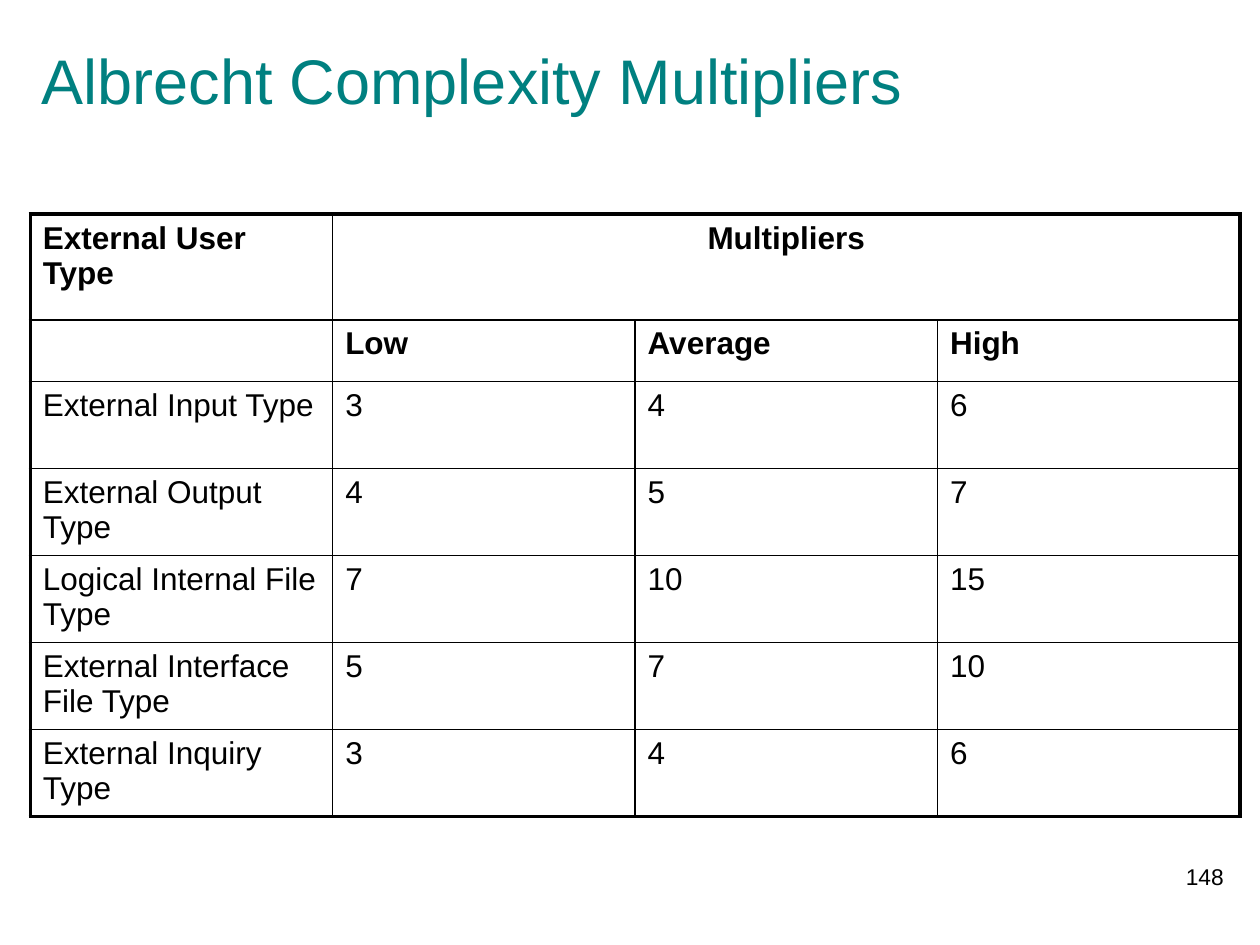
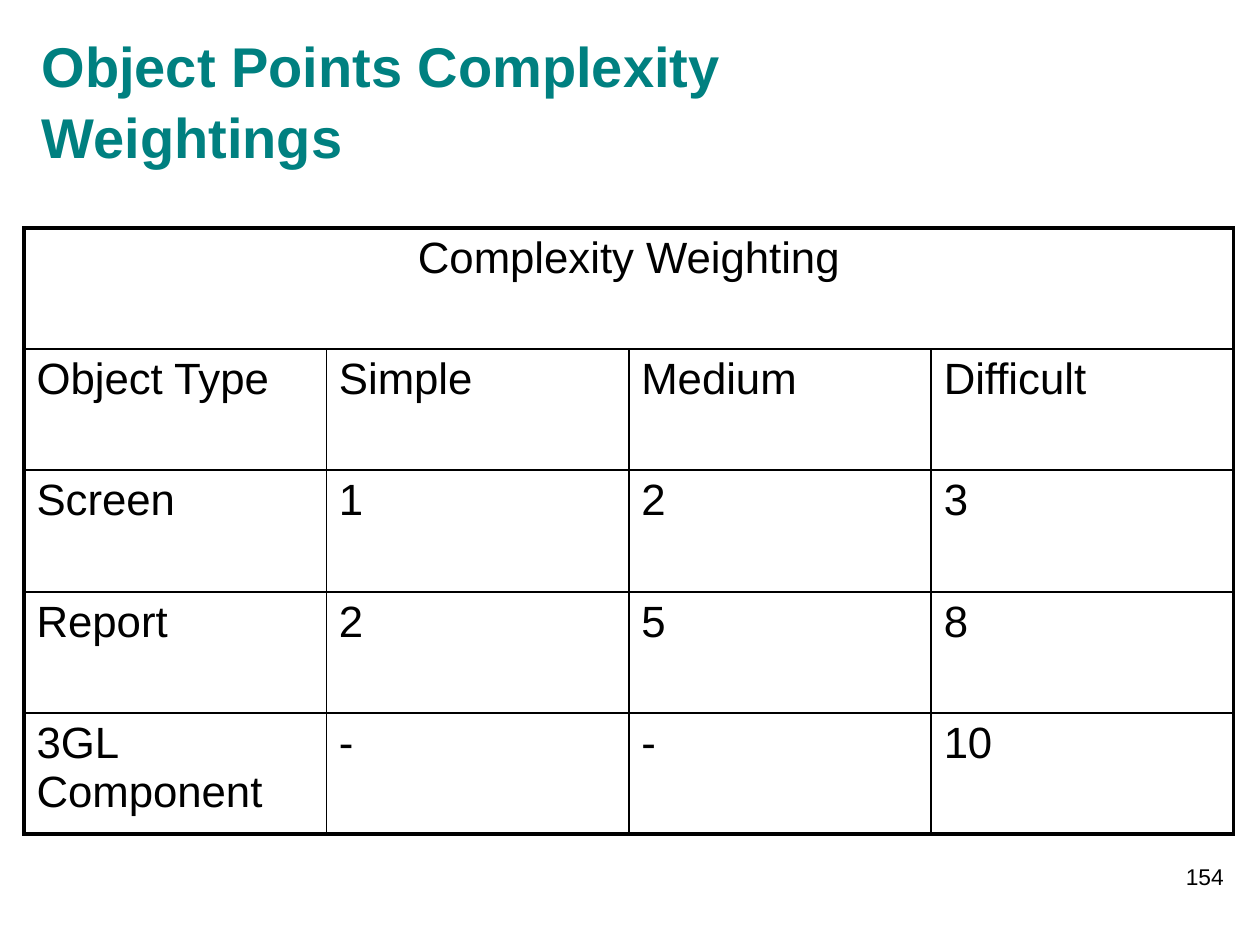
import pptx
import pptx.util
import pptx.dml.color
import pptx.enum.text
import pptx.oxml.ns
import lxml.etree

Inches = pptx.util.Inches
Pt = pptx.util.Pt
RGBColor = pptx.dml.color.RGBColor
PP_ALIGN = pptx.enum.text.PP_ALIGN
qn = pptx.oxml.ns.qn

TEAL = RGBColor(0x00, 0x80, 0x80)
BLACK = RGBColor(0x00, 0x00, 0x00)
FONT = "Arial"
OUTER, INNER = 2.25, 1
COL_WIDTH = 2.4


def set_font(p, size, color, bold=False):
    p.font.name = FONT
    p.font.size = Pt(size)
    p.font.bold = bold
    p.font.color.rgb = color


def set_borders(cell, widths):
    tcPr = cell._tc.get_or_add_tcPr()
    for side, width in widths.items():
        ln = lxml.etree.SubElement(tcPr, qn("a:ln" + side), w=str(Pt(width)))
        fill = lxml.etree.SubElement(ln, qn("a:solidFill"))
        lxml.etree.SubElement(fill, qn("a:srgbClr"), val=str(BLACK))


slides = [
    {
        "title": "Albrecht Complexity Multipliers",
        "title_top": 0.15, "title_size": 36, "title_bold": False,
        "left": 0.24, "top": 1.7, "size": 18, "bold_rows": 2,
        "heights": [0.84, 0.49] + [0.69] * 5,
        "span_start": 1,
        "rows": [
            ["External User Type", "Multipliers", "", ""],
            ["", "Low", "Average", "High"],
            ["External Input Type", "3", "4", "6"],
            ["External Output Type", "4", "5", "7"],
            ["Logical Internal File Type", "7", "10", "15"],
            ["External Interface File Type", "5", "7", "10"],
            ["External Inquiry Type", "3", "4", "6"],
        ],
        "number": "148",
    },
    {
        "title": "Object Points Complexity Weightings",
        "title_top": 0.32, "title_size": 32, "title_bold": True,
        "left": 0.19, "top": 1.81, "size": 25, "bold_rows": 0,
        "heights": [0.96, 0.96, 0.97, 0.96, 0.96],
        "span_start": 0,
        "rows": [
            ["Complexity Weighting", "", "", ""],
            ["Object Type", "Simple", "Medium", "Difficult"],
            ["Screen", "1", "2", "3"],
            ["Report", "2", "5", "8"],
            ["3GL Component", "-", "-", "10"],
        ],
        "number": "154",
    },
]

prs = pptx.Presentation()
prs.slide_width, prs.slide_height = Inches(10), Inches(7.5)

for d in slides:
    s = prs.slides.add_slide(prs.slide_layouts[5])

    sp = s.shapes.title
    sp.left, sp.top = Inches(0.23), Inches(d["title_top"])
    sp.width, sp.height = Inches(8.03), Inches(0.93)
    tf = sp.text_frame
    tf.text = d["title"]
    tf.word_wrap = True
    tf.auto_size = pptx.enum.text.MSO_AUTO_SIZE.NONE
    tf.vertical_anchor = pptx.enum.text.MSO_ANCHOR.MIDDLE
    p = tf.paragraphs[0]
    p.alignment = PP_ALIGN.LEFT
    p.line_spacing = 1.05
    set_font(p, d["title_size"], TEAL, d["title_bold"])

    rows, heights = d["rows"], d["heights"]
    n_rows, n_cols = len(rows), len(rows[0])
    table = s.shapes.add_table(
        n_rows, n_cols, Inches(d["left"]), Inches(d["top"]),
        Inches(COL_WIDTH * n_cols), Inches(sum(heights))).table
    table.first_row = table.horz_banding = False
    for col in table.columns:
        col.width = Inches(COL_WIDTH)
    for row, height in zip(table.rows, heights):
        row.height = Inches(height)
    header = table.cell(0, d["span_start"])
    header.merge(table.cell(0, n_cols - 1))

    for i, texts in enumerate(rows):
        for j, text in enumerate(texts):
            cell = table.cell(i, j)
            if cell.is_spanned:
                continue
            last_col = j + cell.span_width == n_cols
            set_borders(cell, {
                "L": OUTER if j == 0 else INNER,
                "R": OUTER if last_col else INNER,
                "T": OUTER if i == 0 else INNER,
                "B": OUTER if i == n_rows - 1 else INNER,
            })
            cell.fill.background()
            cell.text = text
            set_font(cell.text_frame.paragraphs[0], d["size"], BLACK, i < d["bold_rows"])
    header.text_frame.paragraphs[0].alignment = PP_ALIGN.CENTER

    sp = s.shapes.add_textbox(Inches(7.73), Inches(6.8), Inches(2.08), Inches(0.5))
    tf = sp.text_frame
    tf.word_wrap = True
    tf.text = d["number"]
    p = tf.paragraphs[0]
    p.alignment = PP_ALIGN.RIGHT
    set_font(p, 13, BLACK)

prs.save("out.pptx")
